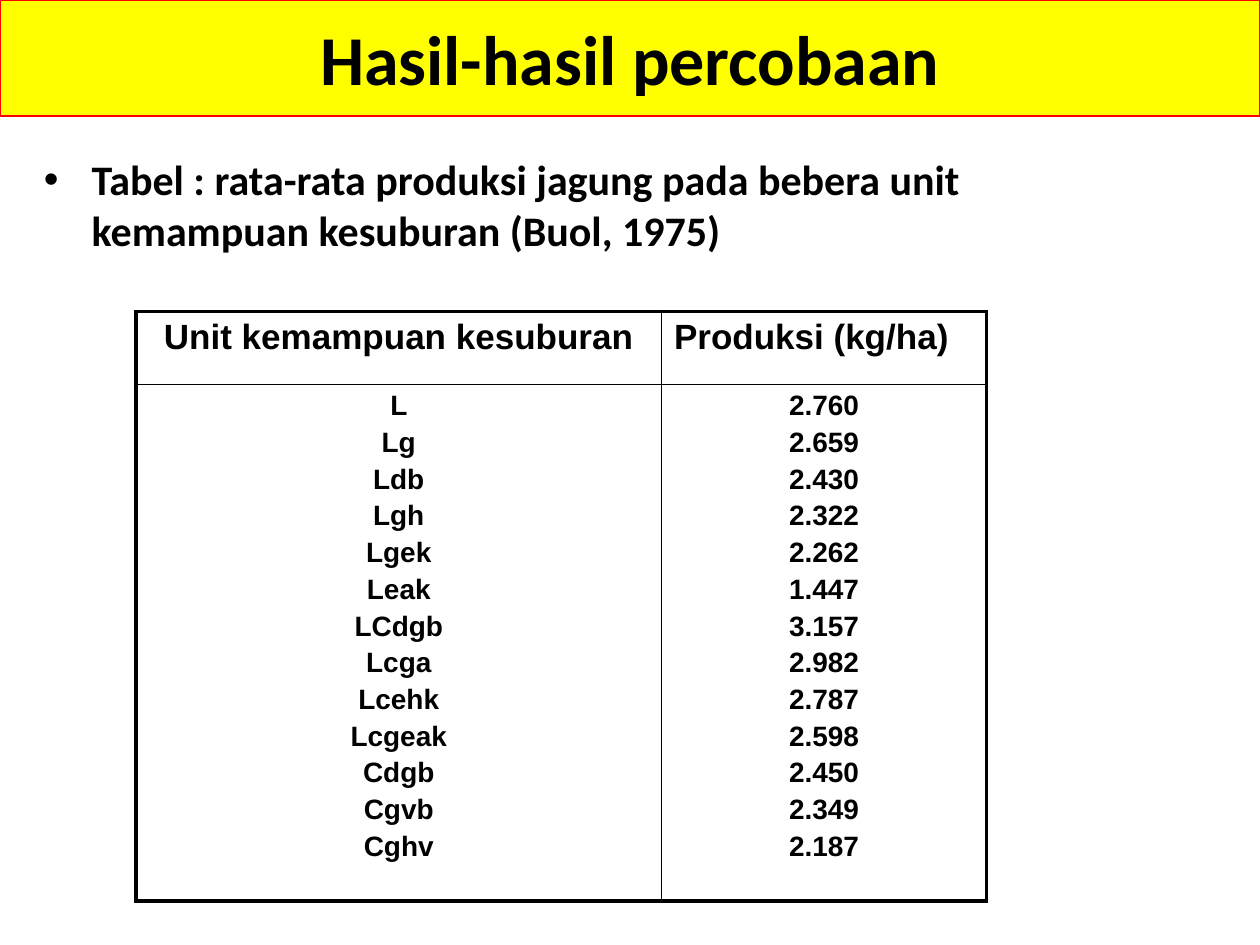
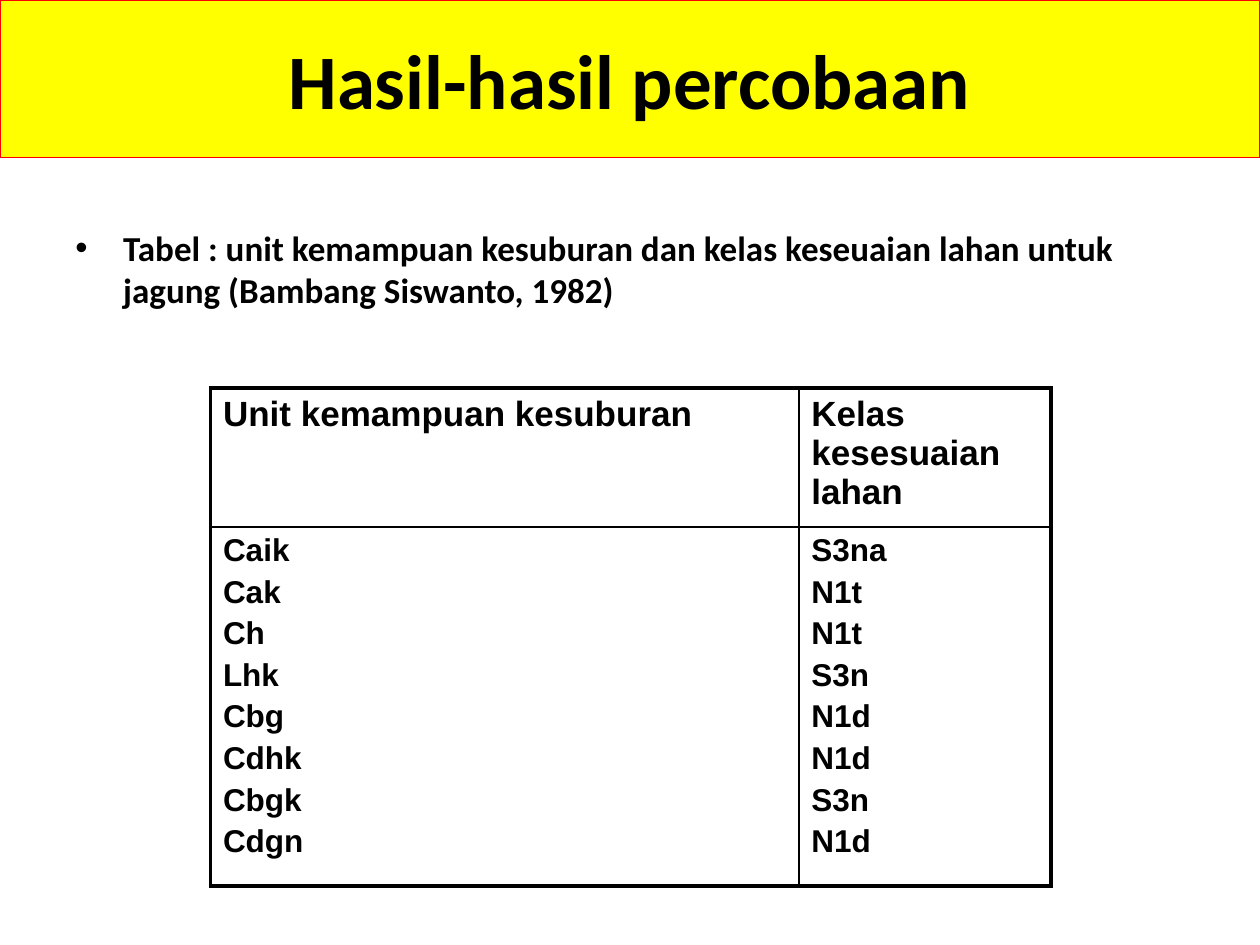
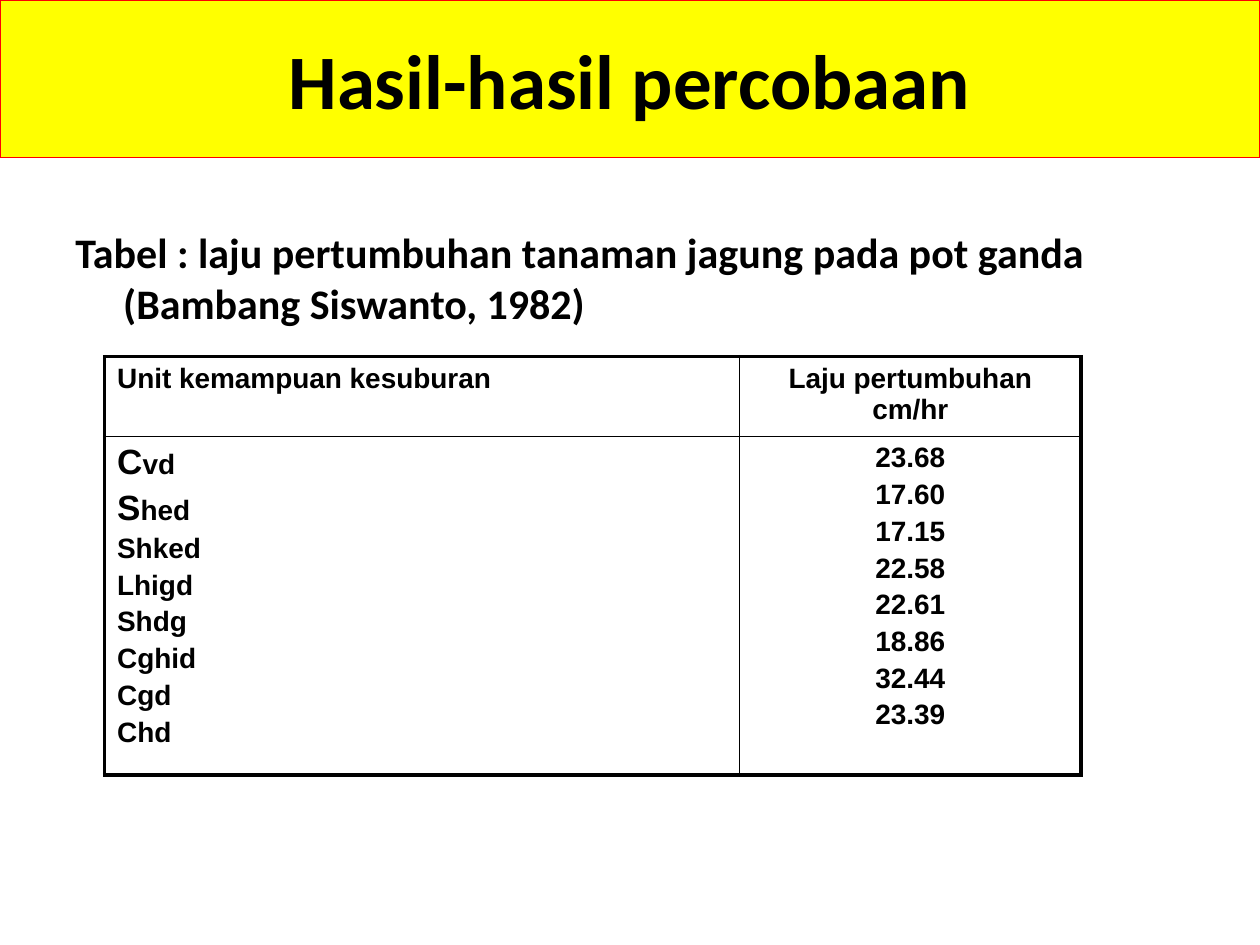
import pptx
import pptx.dml.color
import pptx.enum.shapes
import pptx.enum.text
import pptx.oxml.ns
import pptx.util
from lxml import etree

Inches = pptx.util.Inches
Pt = pptx.util.Pt
PP_ALIGN = pptx.enum.text.PP_ALIGN
LEFT, CENTER = PP_ALIGN.LEFT, PP_ALIGN.CENTER

COLORS = {"band": "FFFF00", "band_edge": "FF0000", "ink": "000000"}
HEADING_FONT, TABLE_FONT = "Calibri", "Arial"
OUTER_LINE, INNER_LINE = 2.25, 1
INITIAL_SIZE = 20


def rgb(name):
    return pptx.dml.color.RGBColor.from_string(COLORS[name])


def add_xml(parent, tag, **attributes):
    return etree.SubElement(parent, pptx.oxml.ns.qn(tag), attributes)


class Deck:
    def __init__(self):
        self.presentation = pptx.Presentation()
        self.presentation.slide_width = Inches(10)
        self.presentation.slide_height = Inches(7.5)
        self.slide = None

    def new_slide(self):
        blank = self.presentation.slide_layouts[6]
        self.slide = self.presentation.slides.add_slide(blank)

    def style(self, paragraph, font, size, align=LEFT):
        paragraph.alignment = align
        paragraph.font.name = font
        paragraph.font.size = Pt(size)
        paragraph.font.bold = True
        paragraph.font.color.rgb = rgb("ink")

    def space_before(self, paragraph):
        """Space of 20 % of the line, which scales with the text."""
        paragraph.space_before = Pt(0)
        spacing = paragraph._p.pPr.find(pptx.oxml.ns.qn("a:spcBef"))
        spacing.remove(spacing[0])
        add_xml(spacing, "a:spcPct", val="20000")

    def title_band(self, text, height, size):
        band = self.slide.shapes.add_shape(
            pptx.enum.shapes.MSO_SHAPE.RECTANGLE, 0, 0, Inches(10), Inches(height))
        band.shadow.inherit = False
        band.fill.solid()
        band.fill.fore_color.rgb = rgb("band")
        band.line.color.rgb = rgb("band_edge")
        band.line.width = Pt(0.75)
        band.text_frame.vertical_anchor = pptx.enum.text.MSO_ANCHOR.MIDDLE
        title = band.text_frame.paragraphs[0]
        title.text = text
        self.style(title, HEADING_FONT, size, CENTER)

    def caption(self, text, left, top, height, size, bullet=True):
        box = self.slide.shapes.add_textbox(
            Inches(left), Inches(top), Inches(9), Inches(height))
        box.text_frame.word_wrap = True
        caption = box.text_frame.paragraphs[0]
        caption.text = text
        self.style(caption, HEADING_FONT, size)
        self.space_before(caption)
        properties = caption._p.get_or_add_pPr()
        indent = Inches(0.38)
        properties.set("marL", str(indent))
        properties.set("indent", str(-indent))
        if bullet:
            mark = add_xml(properties, "a:buChar", char="•")
            mark.addprevious(add_xml(properties, "a:buFont", typeface="Arial"))
            # Bullet properties come before the default run properties
            defaults = properties.find(pptx.oxml.ns.qn("a:defRPr"))
            properties.append(defaults)

    def borders(self, cell, row, column):
        properties = cell._tc.get_or_add_tcPr()
        outer_sides = {"L": column == 0, "R": column == 1, "T": row == 0, "B": row == 1}
        for side, outer in outer_sides.items():
            width = Pt(OUTER_LINE if outer else INNER_LINE)
            line = add_xml(properties, f"a:ln{side}", w=str(width))
            fill = add_xml(line, "a:solidFill")
            add_xml(fill, "a:srgbClr", val=COLORS["ink"])

    def fill_cell(self, cell, lines, size, align):
        """Each line is a string, or a pair of an enlarged initial and the rest."""
        frame = cell.text_frame
        for index, line in enumerate(lines):
            paragraph = frame.add_paragraph() if index else frame.paragraphs[0]
            self.style(paragraph, TABLE_FONT, size, align)
            self.space_before(paragraph)
            if isinstance(line, str):
                paragraph.text = line
                continue
            for part, part_size in zip(line, (INITIAL_SIZE, size)):
                run = paragraph.add_run()
                run.text = part
                run.font.size = Pt(part_size)

    def unit_table(self, place, widths, heights, header, body, sizes, aligns):
        left, top, height = place
        frame = self.slide.shapes.add_table(
            2, 2, Inches(left), Inches(top), Inches(sum(widths)), Inches(height))
        table = frame.table
        table.first_row = table.horz_banding = False
        for column, width in enumerate(widths):
            table.columns[column].width = Inches(width)
        for row, (contents, row_height) in enumerate(zip((header, body), heights)):
            table.rows[row].height = Inches(row_height)
            for column, lines in enumerate(contents):
                cell = table.cell(row, column)
                self.borders(cell, row, column)
                cell.fill.background()
                self.fill_cell(cell, lines, sizes[row], aligns[row][column])
        frame.height = Inches(height)


def main():
    deck = Deck()
    heading = "Hasil-hasil percobaan"
    unit_header = ["Unit kemampuan kesuburan"]

    # Maize yield by fertility capability unit
    deck.new_slide()
    deck.title_band(heading, 0.92, 40)
    deck.caption("Tabel : rata-rata produksi jagung pada bebera unit kemampuan "
                 "kesuburan (Buol, 1975)", 0.25, 1.17, 1.08, 24)
    yields = {
        "L": "2.760", "Lg": "2.659", "Ldb": "2.430", "Lgh": "2.322",
        "Lgek": "2.262", "Leak": "1.447", "LCdgb": "3.157", "Lcga": "2.982",
        "Lcehk": "2.787", "Lcgeak": "2.598", "Cdgb": "2.450", "Cgvb": "2.349",
        "Cghv": "2.187",
    }
    deck.unit_table((1.08, 2.47, 4.79), (4.17, 2.58), (0.58, 1.31),
                    (unit_header, ["Produksi (kg/ha)"]),
                    (yields.keys(), yields.values()),
                    (20, 16), ((CENTER, LEFT), (CENTER, CENTER)))

    # Land suitability class by unit
    deck.new_slide()
    deck.title_band(heading, 1.25, 44)
    deck.caption("Tabel : unit kemampuan kesuburan dan kelas keseuaian lahan untuk "
                 "jagung (Bambang Siswanto, 1982)", 0.5, 1.75, 4.95, 20)
    classes = {
        "Caik": "S3na", "Cak": "N1t", "Ch": "N1t", "Lhk": "S3n",
        "Cbg": "N1d", "Cdhk": "N1d", "Cbgk": "S3n", "Cdgn": "N1d",
    }
    deck.unit_table((1.67, 3.08, 4.02), (4.67, 2), (0.67, 2.22),
                    (unit_header, ["Kelas kesesuaian lahan"]),
                    (classes.keys(), classes.values()),
                    (20, 18), ((LEFT, LEFT), (LEFT, LEFT)))

    # Growth rate by unit
    deck.new_slide()
    deck.title_band(heading, 1.25, 44)
    deck.caption("Tabel : laju pertumbuhan tanaman jagung pada pot ganda "
                 "(Bambang Siswanto, 1982)", 0.5, 1.75, 4.95, 24, bullet=False)
    growth_rates = {
        ("C", "vd"): "23.68", ("S", "hed"): "17.60", "Shked": "17.15",
        "Lhigd": "22.58", "Shdg": "22.61", "Cghid": "18.86", "Cgd": "32.44",
        "Chd": "23.39",
    }
    deck.unit_table((0.83, 2.83, 3.39), (5.04, 2.71), (0.58, 2.62),
                    (unit_header, ["Laju pertumbuhan cm/hr"]),
                    (growth_rates.keys(), growth_rates.values()),
                    (16, 16), ((LEFT, CENTER), (LEFT, CENTER)))

    deck.presentation.save("out.pptx")


if __name__ == "__main__":
    main()
